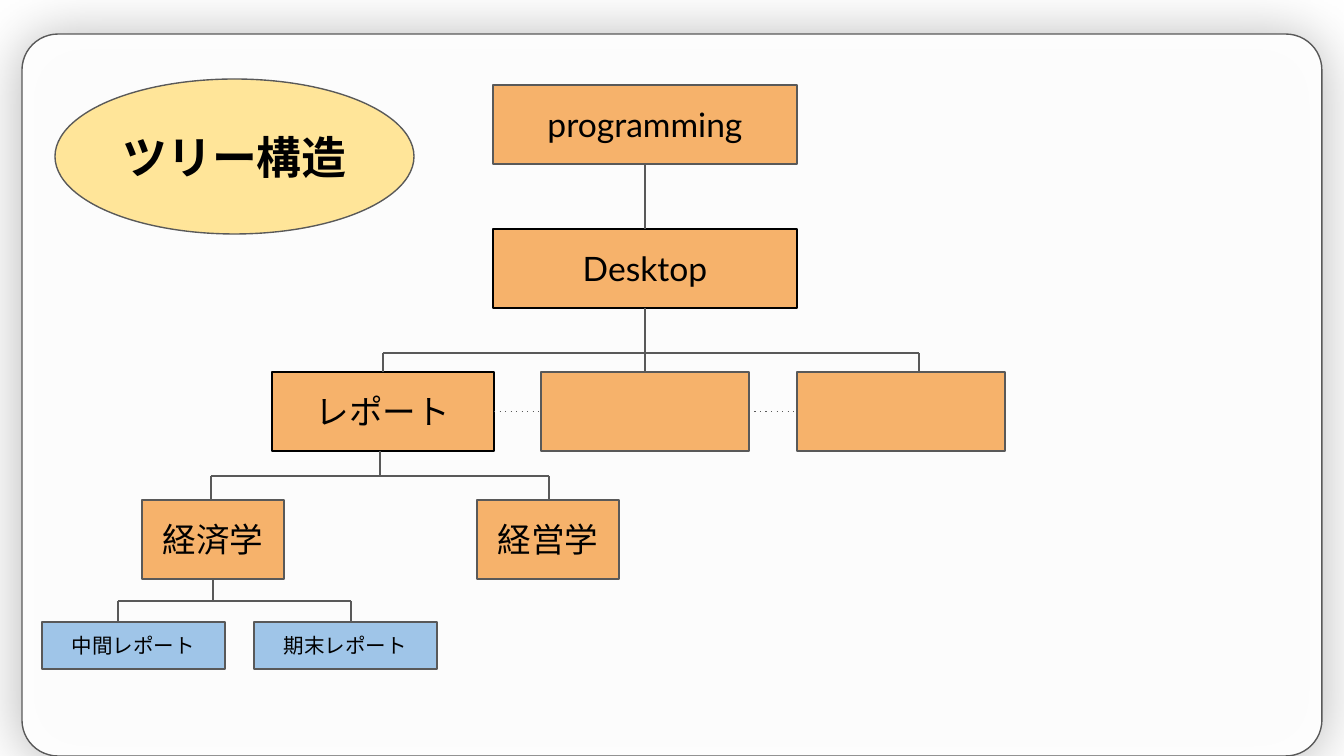
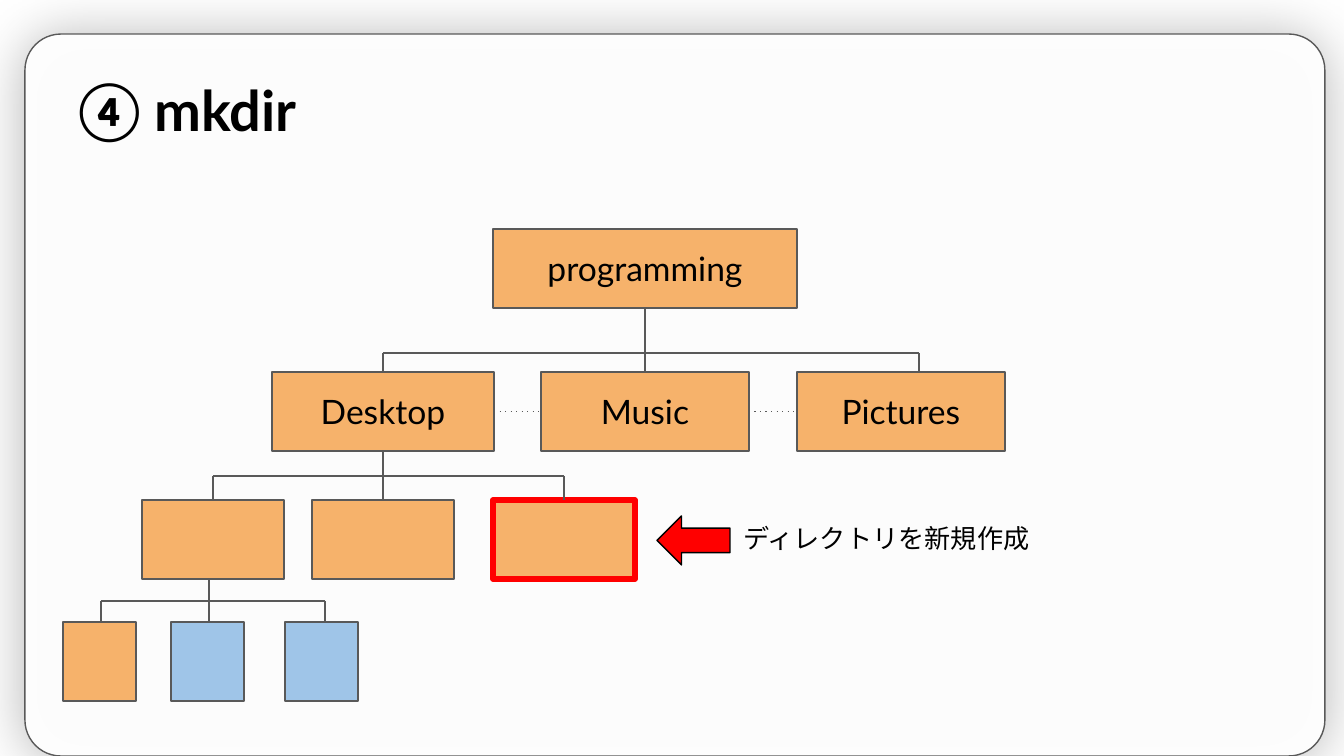
"""Builds two slides that show directory trees and the mkdir command."""
import pptx
import pptx.util
import pptx.dml.color
import pptx.enum.shapes
import pptx.enum.text
import lxml.etree

PX = 914400 / 134.4
WIDTH, HEIGHT = 1344, 756
DRAWING = "http://schemas.openxmlformats.org/drawingml/2006/main"
SHAPES = pptx.enum.shapes.MSO_SHAPE
ANCHOR = pptx.enum.text.MSO_ANCHOR
ALIGN = pptx.enum.text.PP_ALIGN

COLOURS = {
    "white": "FFFFFF", "black": "000000", "grey": "595959", "red": "FF0000",
    "folder": "F6B26B", "file": "9FC5E8", "topic": "FFE599",
}
BOTTOM, TOP, LEFT, RIGHT = 2, 0, 1, 3
ROOT, TRIO, LEAF = (493, 304), ((272, 222), (541, 208), (797, 208)), 142
BOX_HEIGHT = 79
ROW_TOPS = {"first": 85, "second": 229, "third": 372, "fourth": 500, "fifth": 622}

BASE_TEXT = {"size": 18, "name": "Lato", "bold": False}
ARIAL = {"name": "Arial"}
REPORT = {"fill": "file", "height": 47, "text": {"name": "Arial", "size": 11}}
DARK = {"line": "black"}

SLIDES = [
    {
        "card_left": 22,
        "boxes": {
            "root": ("first", *ROOT, "programming", {}),
            "desktop": ("second", *ROOT, "Desktop", DARK),
            "left": ("third", *TRIO[0], "レポート", DARK),
            "middle": ("third", *TRIO[1], "", {}),
            "right": ("third", *TRIO[2], "", {}),
            "economics": ("fourth", 142, LEAF, "経済学", {"text": ARIAL}),
            "management": ("fourth", 477, LEAF, "経営学", {"text": ARIAL}),
            "midterm": ("fifth", 42, 183, "中間レポート", REPORT),
            "final": ("fifth", 254, 183, "期末レポート", REPORT),
        },
        "links": [("root", BOTTOM, "desktop", TOP, False)],
        "branches": [
            ("desktop", 645, 353, {"left": 383, "middle": 645, "right": 919}),
            ("left", 380, 476, {"economics": 211, "management": 549}),
            ("economics", 213, 601, {"midterm": 118, "final": 351}),
        ],
        "marks": [
            (SHAPES.OVAL, (55, 79, 359, 155), "ツリー構造",
             {"fill": "topic", "text": {"size": 24, "bold": True}}),
        ],
        "labels": [],
    },
    {
        "card_left": 25,
        "boxes": {
            "root": ("second", *ROOT, "programming", {}),
            "left": ("third", *TRIO[0], "Desktop", {}),
            "middle": ("third", *TRIO[1], "Music", {}),
            "right": ("third", *TRIO[2], "Pictures", {}),
            "folder": ("fourth", 142, LEAF, "", {}),
            "sibling": ("fourth", 312, LEAF, "", {}),
            "new": ("fourth", 493, LEAF, "", {"line": "red", "weight": 3}),
            "subfolder": ("fifth", 63, 73, "", {}),
            "file_one": ("fifth", 171, 73, "", {"fill": "file"}),
            "file_two": ("fifth", 285, 73, "", {"fill": "file"}),
        },
        "links": [],
        "branches": [
            ("root", 645, 353, {"left": 383, "middle": 645, "right": 919}),
            ("left", 383, 476, {"folder": 213, "sibling": 383, "new": 564}),
            ("folder", 209, 601, {"subfolder": 101, "file_one": 209, "file_two": 325}),
        ],
        "marks": [
            (SHAPES.LEFT_ARROW, (657, 516, 73, 49), "", {"fill": "red", "line": "black"}),
        ],
        "labels": [
            ((65, 62, 411, 98), "④ mkdir", {"size": 30, "bold": True}),
            ((730, 509, 324, 59), "ディレクトリを新規作成", {"size": 14}),
        ],
    },
]
SIBLING_LINKS = [("left", RIGHT, "middle", LEFT, True), ("middle", RIGHT, "right", LEFT, True)]


def emu(*lengths):
    return [pptx.util.Emu(round(length * PX)) for length in lengths]


def rgb(name):
    return pptx.dml.color.RGBColor.from_string(COLOURS[name])


def add_node(parent, tag, **attributes):
    return lxml.etree.SubElement(parent, f"{{{DRAWING}}}{tag}", attributes)


def style_line(line, colour="grey", weight=0.75):
    line.color.rgb = rgb(colour)
    line.width = pptx.util.Pt(weight)


def write_text(shape, text, look, align, anchor):
    frame = shape.text_frame
    frame.word_wrap = True
    frame.vertical_anchor = anchor
    for side in ("left", "top", "right", "bottom"):
        setattr(frame, f"margin_{side}", pptx.util.Inches(0.1))
    para = frame.paragraphs[0]
    para.alignment = align
    span = para.add_run()
    span.text = text
    values = {**BASE_TEXT, **look}
    values["size"] = pptx.util.Pt(values["size"])
    for key, value in values.items():
        setattr(span.font, key, value)
    span.font.color.rgb = rgb("black")
    for script in ("ea", "cs"):
        add_node(span.font._element, script, typeface=values["name"])


def add_figure(page, kind, area, text="", fill="folder", line="grey", weight=0.75, look=None):
    shape = page.shapes.add_shape(kind, *emu(*area))
    shape.shadow.inherit = False
    shape.fill.solid()
    shape.fill.fore_color.rgb = rgb(fill)
    style_line(shape.line, line, weight)
    if text:
        write_text(shape, text, look or {}, ALIGN.CENTER, ANCHOR.MIDDLE)
    return shape


def add_card(page, left):
    card = add_figure(page, SHAPES.ROUNDED_RECTANGLE, (left, 34, 1300, 722), fill="white")
    card.adjustments[0] = 0.05
    properties = card._element.spPr
    fill_colour = properties.find(f"{{{DRAWING}}}solidFill")[0]
    add_node(fill_colour, "alpha", val="96000")
    effects = properties.find(f"{{{DRAWING}}}effectLst")
    shadow = add_node(effects, "outerShdw", blurRad=str(pptx.util.Pt(31.5)),
                      dist=str(pptx.util.Pt(1.5)), dir="5400000", algn="bl", rotWithShape="0")
    add_node(add_node(shadow, "srgbClr", val=COLOURS["black"]), "alpha", val="30000")


def add_line(page, start, end, dotted=False):
    connector = page.shapes.add_connector(
        pptx.enum.shapes.MSO_CONNECTOR.STRAIGHT, *emu(*start, *end))
    style_line(connector.line)
    properties = connector._element.spPr
    if dotted:
        add_node(properties.find(f"{{{DRAWING}}}ln"), "prstDash", val="dot")
    add_node(properties, "effectLst")
    return connector


def add_link(page, boxes, first, first_side, second, second_side, dotted):
    connector = add_line(page, (0, 0), (0, 0), dotted)
    connector.begin_connect(boxes[first][0], first_side)
    connector.end_connect(boxes[second][0], second_side)


def add_branch(page, boxes, parent, stem, bus, drops):
    shape, (left, top, width, height) = boxes[parent]
    trunk = add_line(page, (stem, top + height), (stem, bus))
    if stem == left + width // 2:
        trunk.begin_connect(shape, BOTTOM)
    add_line(page, (min(drops.values()), bus), (max(drops.values()), bus))
    for child, position in drops.items():
        shape, (left, top, width, height) = boxes[child]
        drop = add_line(page, (position, bus), (position, top))
        if position == left + width // 2:
            drop.end_connect(shape, TOP)


def add_boxes(page, entries):
    boxes = {}
    for key, (row, left, width, text, options) in entries.items():
        style = dict(options)
        look = style.pop("text", {})
        area = (left, ROW_TOPS[row], width, style.pop("height", BOX_HEIGHT))
        boxes[key] = add_figure(page, SHAPES.RECTANGLE, area, text, look=look, **style), area
    return boxes


def build_page(deck, content):
    page = deck.slides.add_slide(deck.slide_layouts[6])
    page.background.fill.solid()
    page.background.fill.fore_color.rgb = rgb("white")
    add_card(page, content["card_left"])
    boxes = add_boxes(page, content["boxes"])
    for link in content["links"] + SIBLING_LINKS:
        add_link(page, boxes, *link)
    for branch in content["branches"]:
        add_branch(page, boxes, *branch)
    for kind, area, text, options in content["marks"]:
        style = dict(options)
        look = style.pop("text", {})
        add_figure(page, kind, area, text, look=look, **style)
    for area, text, look in content["labels"]:
        label = page.shapes.add_textbox(*emu(*area))
        write_text(label, text, look, ALIGN.LEFT, ANCHOR.TOP)


def main():
    deck = pptx.Presentation()
    deck.slide_width, deck.slide_height = emu(WIDTH, HEIGHT)
    for content in SLIDES:
        build_page(deck, content)
    deck.save("out.pptx")


if __name__ == "__main__":
    main()
